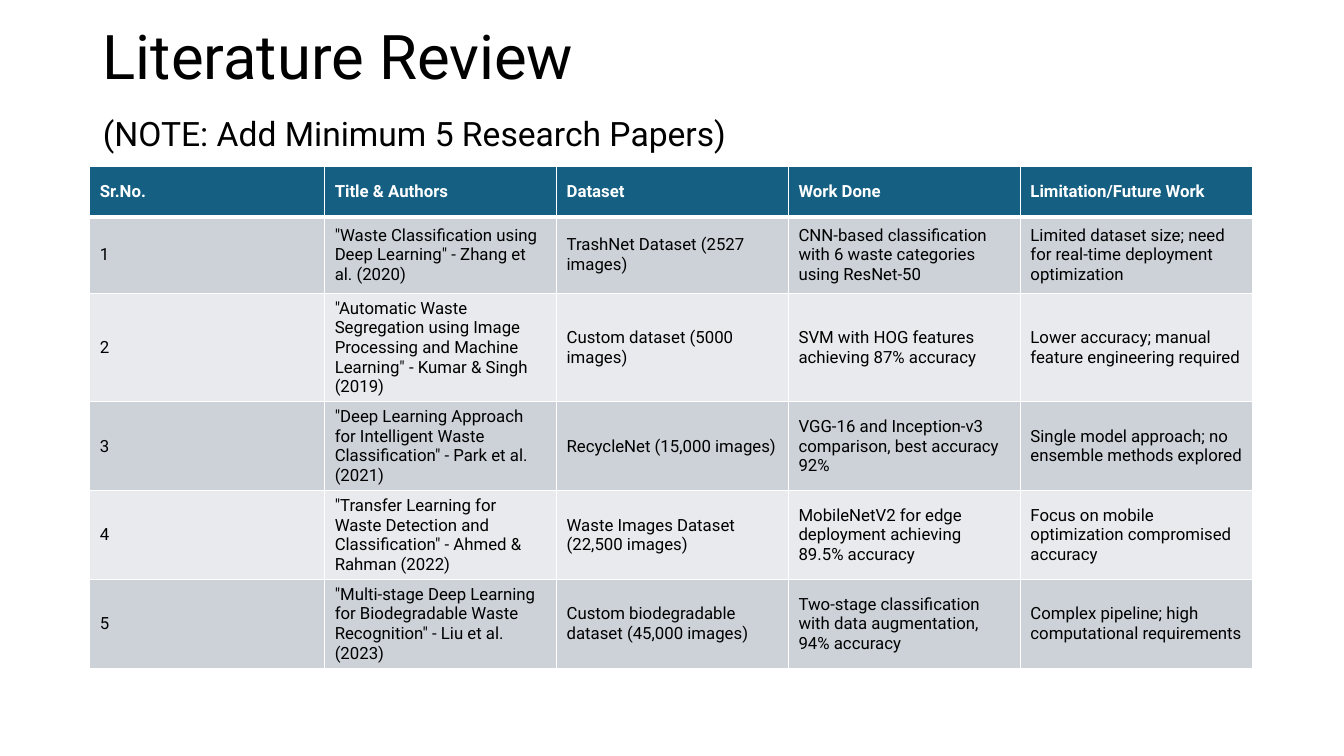
"""Builds the literature review slide with its table of research papers."""
from lxml import etree
from pptx import Presentation
from pptx.dml.color import RGBColor
from pptx.enum.text import MSO_ANCHOR, PP_ALIGN
from pptx.oxml.ns import qn
from pptx.util import Inches, Pt

MIDDLE = MSO_ANCHOR.MIDDLE
LEFT = PP_ALIGN.LEFT
FONT = "Roboto"
COLORS = {
    "text": "000000",
    "header_text": "FFFFFF",
    "header": "156082",
    "odd_row": "CCD2D8",
    "even_row": "E8EAED",
    "border": "FFFFFF",
}

TITLE = "Literature Review "
NOTE = "(NOTE: Add Minimum 5 Research Papers)"
HEADERS = ["Sr.No.", "Title & Authors", "Dataset", "Work Done", "Limitation/Future Work"]
PAPERS = [
    ('"Waste Classification using Deep Learning" - Zhang et al. (2020)',
     "TrashNet Dataset (2527 images)",
     "CNN-based classification with 6 waste categories using ResNet-50",
     "Limited dataset size; need for real-time deployment optimization"),
    ('"Automatic Waste Segregation using Image Processing and Machine Learning" - Kumar & Singh (2019)',
     "Custom dataset (5000 images)",
     "SVM with HOG features achieving 87% accuracy",
     "Lower accuracy; manual feature engineering required"),
    ('"Deep Learning Approach for Intelligent Waste Classification" - Park et al. (2021)',
     "RecycleNet (15,000 images)",
     "VGG-16 and Inception-v3 comparison, best accuracy 92%",
     "Single model approach; no ensemble methods explored"),
    ('"Transfer Learning for Waste Detection and Classification" - Ahmed & Rahman (2022)',
     "Waste Images Dataset (22,500 images)",
     "MobileNetV2 for edge deployment achieving 89.5% accuracy",
     "Focus on mobile optimization compromised accuracy"),
    ('"Multi-stage Deep Learning for Biodegradable Waste Recognition" - Liu et al. (2023)',
     "Custom biodegradable dataset (45,000 images)",
     "Two-stage classification with data augmentation, 94% accuracy",
     "Complex pipeline; high computational requirements"),
]
COLUMN_WIDTHS = [2.33] + [2.3] * 4
ROW_HEIGHTS = [0.5] + [0.76] * len(PAPERS)


def add_run(paragraph, text, size, color, bold=False):
    run = paragraph.add_run()
    run.text = text
    run.font.name = FONT
    run.font.size = Pt(size)
    run.font.bold = bold
    run.font.color.rgb = RGBColor.from_string(COLORS[color])


def add_borders(cell, top, bottom):
    properties = cell._tc.get_or_add_tcPr()
    for side, width in (("L", 1), ("R", 1), ("T", top), ("B", bottom)):
        line = etree.SubElement(properties, qn(f"a:ln{side}"), w=str(Pt(width)))
        fill = etree.SubElement(line, qn("a:solidFill"))
        etree.SubElement(fill, qn("a:srgbClr"), val=COLORS["border"])


def add_title(slide):
    title = slide.shapes.title
    title.left, title.top = Inches(0.92), Inches(0.2)
    title.width, title.height = Inches(11.5), Inches(1.45)
    title.text_frame.word_wrap = True
    title.text_frame.vertical_anchor = MIDDLE
    paragraph = title.text_frame.paragraphs[0]
    paragraph.alignment = LEFT
    paragraph.line_spacing = 0.9
    add_run(paragraph, TITLE, 44, "text")
    paragraph.add_line_break()
    add_run(paragraph, NOTE, 24, "text")
    add_run(paragraph, " ", 44, "text")


def add_paper_table(slide):
    rows = [HEADERS] + [(str(number), *paper) for number, paper in enumerate(PAPERS, 1)]
    table = slide.shapes.add_table(
        len(rows), len(HEADERS), Inches(0.89), Inches(1.65),
        Inches(sum(COLUMN_WIDTHS)), Inches(sum(ROW_HEIGHTS))).table
    for column, width in zip(table.columns, COLUMN_WIDTHS):
        column.width = Inches(width)
    for index, (texts, height) in enumerate(zip(rows, ROW_HEIGHTS)):
        table.rows[index].height = Inches(height)
        is_header = index == 0
        fill = "header" if is_header else "odd_row" if index % 2 else "even_row"
        for cell, text in zip(table.rows[index].cells, texts):
            add_borders(cell, 3 if index == 1 else 1, 3 if is_header else 1)
            cell.fill.solid()
            cell.fill.fore_color.rgb = RGBColor.from_string(COLORS[fill])
            cell.vertical_anchor = MIDDLE
            add_run(cell.text_frame.paragraphs[0], text, 12,
                    "header_text" if is_header else "text", is_header)


def main():
    presentation = Presentation()
    presentation.slide_width = Inches(13.33)
    presentation.slide_height = Inches(7.5)
    slide = presentation.slides.add_slide(presentation.slide_layouts[5])
    add_title(slide)
    add_paper_table(slide)
    presentation.save("out.pptx")


if __name__ == "__main__":
    main()
